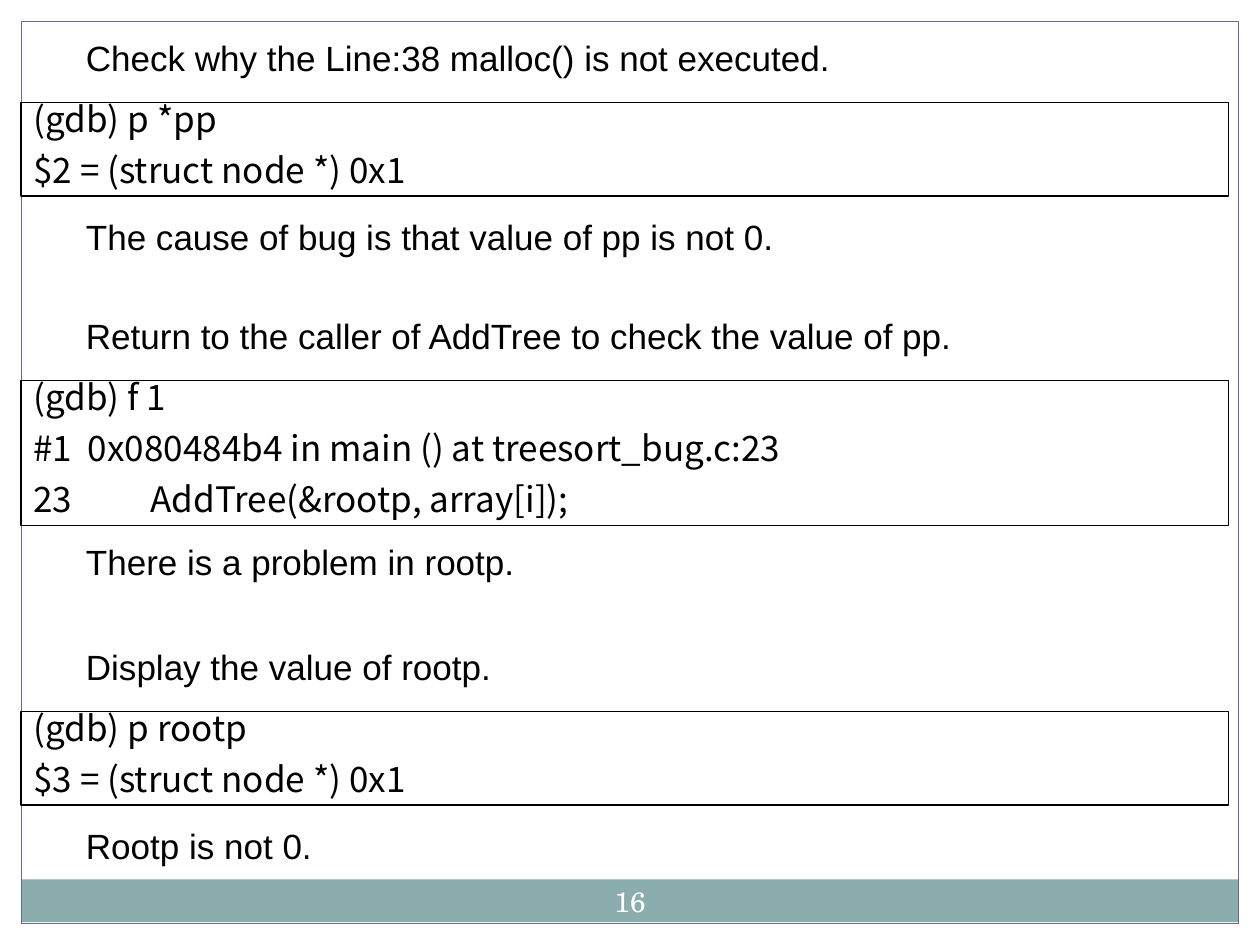
from pptx import Presentation
from pptx.dml.color import RGBColor
from pptx.enum.shapes import MSO_SHAPE
from pptx.enum.text import MSO_ANCHOR, PP_ALIGN
from pptx.util import Pt

BLACK = RGBColor(0x00, 0x00, 0x00)
WHITE = RGBColor(0xFF, 0xFF, 0xFF)
TEAL = RGBColor(0x8C, 0xAD, 0xAE)
SLATE = RGBColor(0x64, 0x6B, 0x86)

WIDTH, HEIGHT, MARGIN = 720, 540, 12
NOTE_LEFT, NOTE_WIDTH, NOTE_HEIGHT = 42, 636, 24.5
CODE_WIDTH = 690

NOTES = [
    (24, "Check why the Line:38 malloc() is not executed."),
    (126, "The cause of bug is that value of pp is not 0."),
    (183, "Return to the caller of AddTree to check the value of pp."),
    (312, "There is a problem in rootp."),
    (372, "Display the value of rootp."),
    (474, "Rootp is not 0."),
]
LISTINGS = [
    (58.5, 53.5, ["(gdb) p *pp", "$2 = (struct node *) 0x1"]),
    (217.5, 83, [
        "(gdb) f 1",
        "#1  0x080484b4 in main () at treesort_bug.c:23",
        "23          AddTree(&rootp, array[i]);",
    ]),
    (406.5, 53.5, ["(gdb) p rootp", "$3 = (struct node *) 0x1"]),
]


class DebugSlide:
    """Holds the text style and the current slide, and draws its elements."""

    body = {"line_spacing": 0.7, "alignment": PP_ALIGN.LEFT}
    note_font = {"name": "Arial", "size": Pt(20)}
    code_font = {"name": "Noto Sans CJK JP", "size": Pt(20)}
    number_font = {"name": "TeX Gyre Schola", "size": Pt(16)}

    def __init__(self, page):
        self.page = page

    def apply(self, target, values):
        for name, value in values.items():
            setattr(target, name, value)

    def rectangle(self, left, top, width, height, fill=None, line=None):
        box = self.page.shapes.add_shape(
            MSO_SHAPE.RECTANGLE, Pt(left), Pt(top), Pt(width), Pt(height))
        box.shadow.inherit = False
        if fill is None:
            box.fill.background()
        else:
            box.fill.solid()
            box.fill.fore_color.rgb = fill
        if line is None:
            box.line.fill.background()
        else:
            box.line.color.rgb = line
            box.line.width = Pt(0.75)
        return box

    def text_box(self, left, top, width, height):
        return self.page.shapes.add_textbox(
            Pt(left), Pt(top), Pt(width), Pt(height))

    def add_text(self, box, lines, font, paragraph, color=BLACK, inset=7.2,
                 anchor=MSO_ANCHOR.TOP):
        frame = box.text_frame
        self.apply(frame, {
            "word_wrap": True, "vertical_anchor": anchor,
            "margin_left": Pt(inset), "margin_right": Pt(inset),
            "margin_top": Pt(3.6), "margin_bottom": Pt(3.6),
        })
        for index, line in enumerate(lines):
            para = frame.add_paragraph() if index else frame.paragraphs[0]
            self.apply(para, paragraph)
            if index:
                para.space_before = Pt(12.5)
            span = para.add_run()
            span.text = line
            self.apply(span.font, font)
            span.font.color.rgb = color

    def note(self, top, text):
        box = self.text_box(NOTE_LEFT, top, NOTE_WIDTH, NOTE_HEIGHT)
        self.add_text(box, [text], self.note_font, self.body)

    def listing(self, top, height, lines):
        box = self.rectangle(MARGIN, top, CODE_WIDTH, height, line=BLACK)
        self.add_text(box, lines, self.code_font, self.body)

    def number(self, text):
        box = self.text_box(336, 498, 48, 34.5)
        self.add_text(box, [text], self.number_font,
                      {"alignment": PP_ALIGN.CENTER}, WHITE, 3.6,
                      MSO_ANCHOR.MIDDLE)

    def border(self):
        inner_width, inner_height = WIDTH - 2 * MARGIN, HEIGHT - 2 * MARGIN
        self.rectangle(MARGIN, 502.5, inner_width, 24.5, fill=TEAL)
        self.rectangle(MARGIN, MARGIN, inner_width, inner_height, line=SLATE)
        for top in (HEIGHT - MARGIN, 0):
            self.rectangle(0, top, WIDTH, MARGIN, fill=WHITE)
        for left in (0, WIDTH - MARGIN):
            self.rectangle(left, 0, MARGIN, HEIGHT, fill=WHITE)


def main():
    deck = Presentation()
    deck.slide_width, deck.slide_height = Pt(WIDTH), Pt(HEIGHT)
    slide = DebugSlide(deck.slides.add_slide(deck.slide_layouts[6]))
    slide.border()
    for top, text in NOTES:
        slide.note(top, text)
    for top, height, lines in LISTINGS:
        slide.listing(top, height, lines)
    slide.number("16")
    deck.save("out.pptx")


if __name__ == "__main__":
    main()
